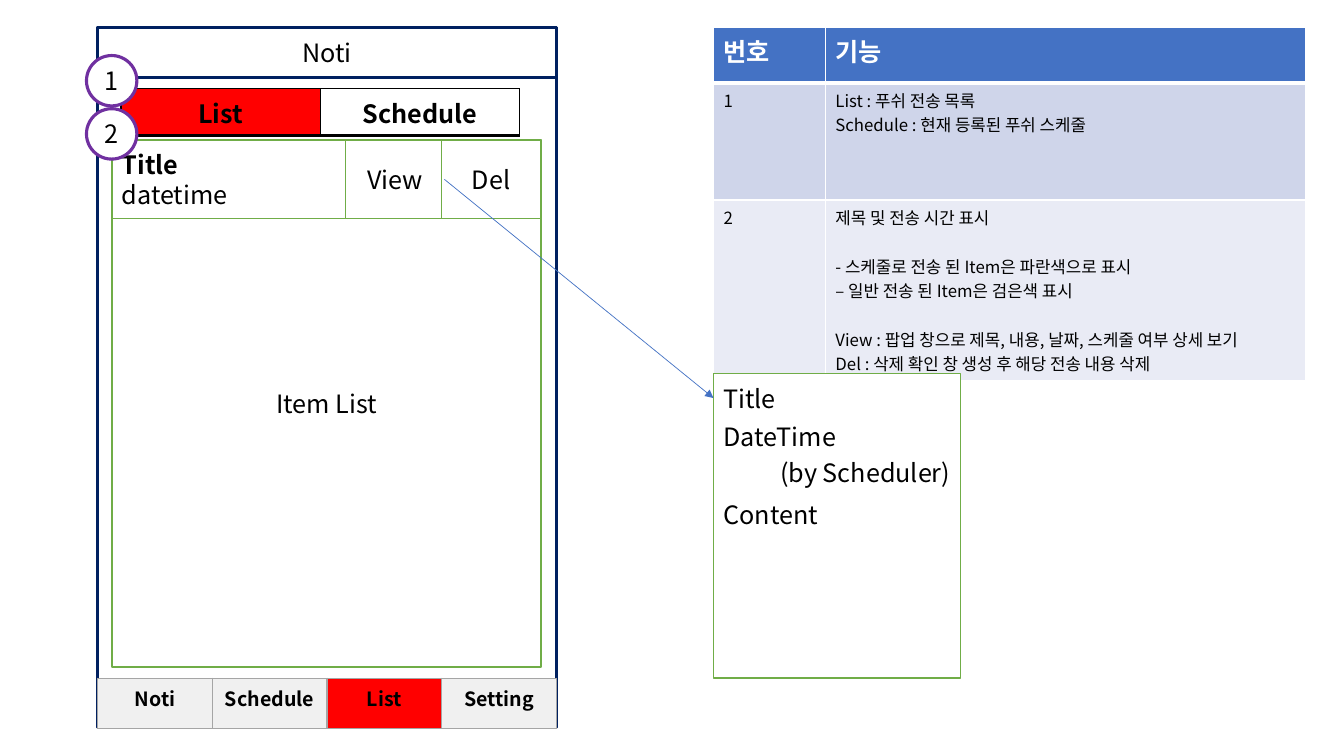
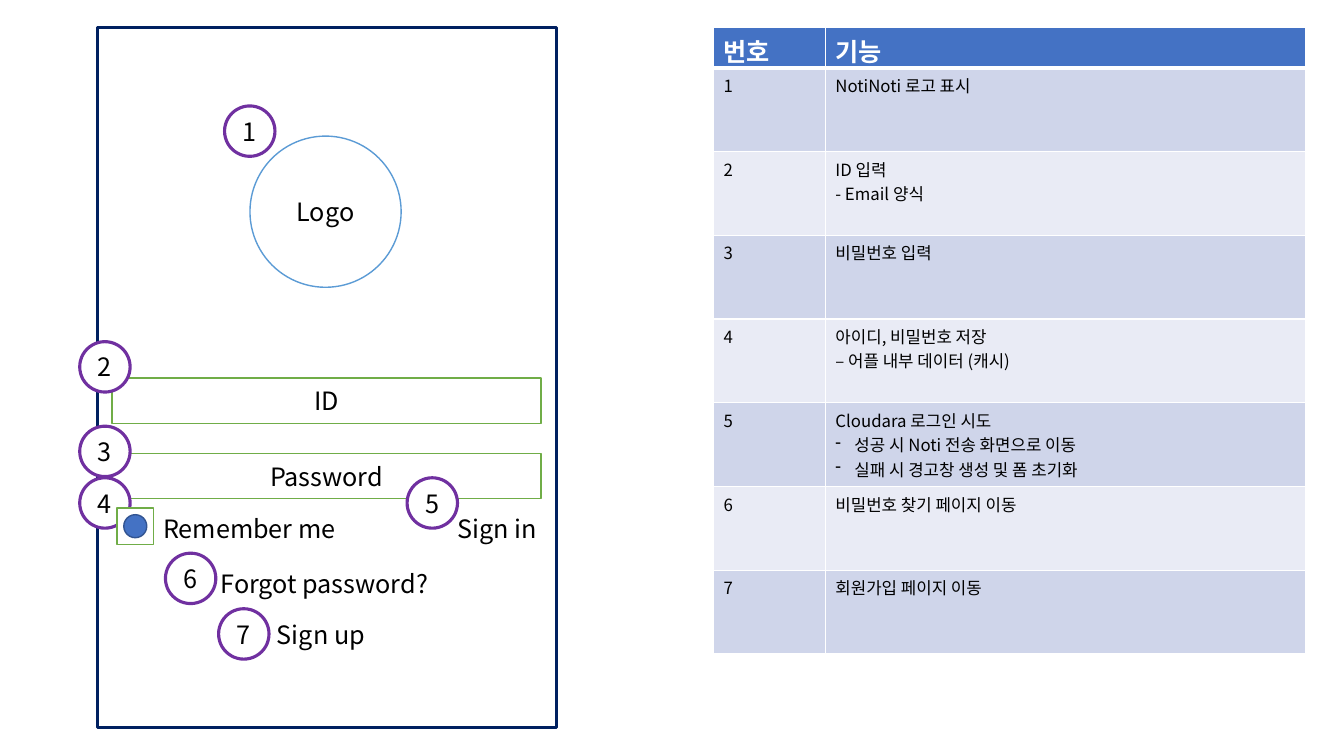
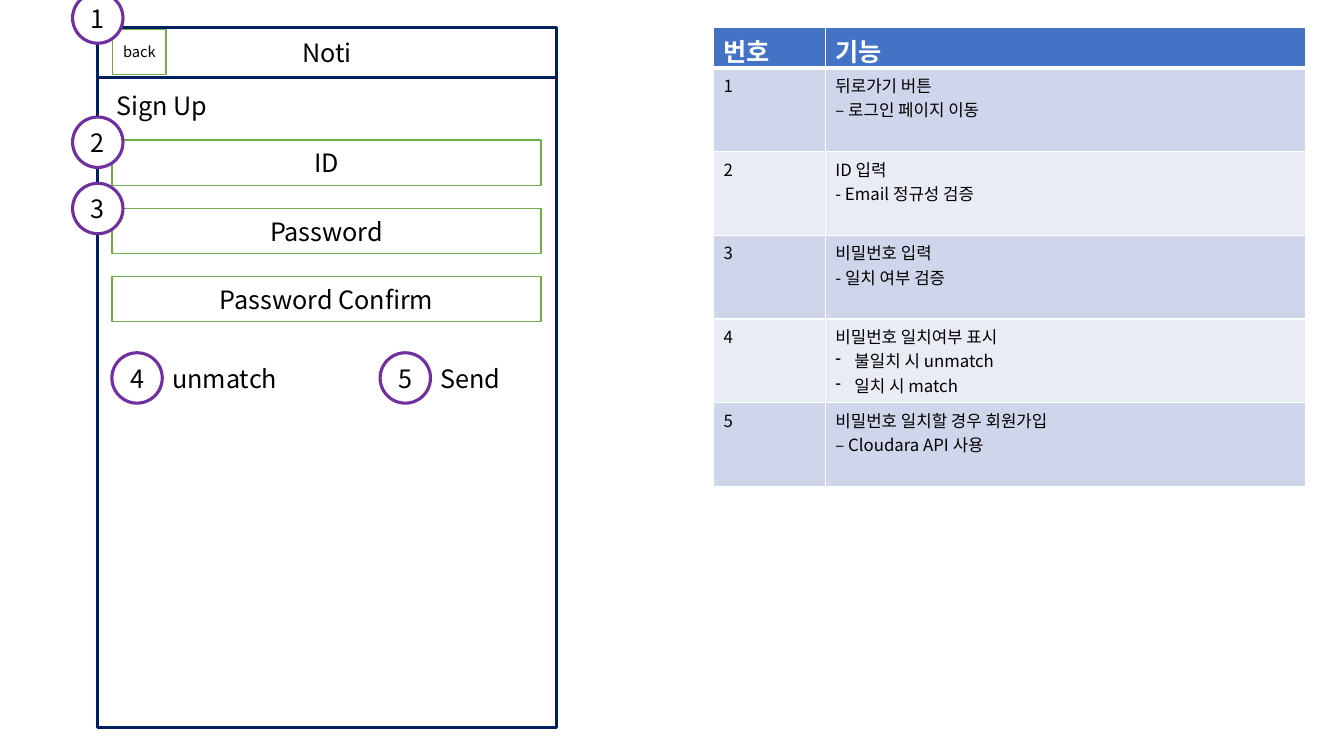
from dataclasses import dataclass
from typing import Optional, Union

from lxml import etree
from pptx import Presentation
from pptx import util as u
from pptx.dml.color import RGBColor
from pptx.enum import shapes, text
from pptx.oxml import ns

Cm, Pt = u.Cm, u.Pt
FONT = "Noto Sans CJK KR"
COLORS = {
    "black": "000000", "white": "FFFFFF", "frame": "002060", "field": "70AD47",
    "badge": "7030A0", "logo": "5B9BD5", "accent": "4472C4", "accent_edge": "325491",
    "active": "FF0000", "nav": "F0F0F0", "nav_edge": "A5A5A5",
    "band_dark": "CFD5EA", "band_light": "E9EBF5",
}
LEFT, CENTER, RIGHT = text.PP_ALIGN.LEFT, text.PP_ALIGN.CENTER, text.PP_ALIGN.RIGHT
RECT, OVAL = shapes.MSO_SHAPE.RECTANGLE, shapes.MSO_SHAPE.OVAL

# Shared layout, in centimetres
FRAME_LEFT, FRAME_TOP, FRAME_WIDTH, FRAME_HEIGHT = 2.46, 0.69, 11.56, 17.65
BAR_HEIGHT = 1.27
FIELD_LEFT, FIELD_WIDTH, FIELD_HEIGHT = 2.82, 10.82, 1.14
ITEM_TOP, ITEM_HEIGHT, BUTTON_WIDTH = 3.53, 1.98, 2.49
BADGE_SIZE, LABEL_HEIGHT = 1.27, 1.02
SPEC_LEFT, SPEC_COLUMNS = 17.98, (2.82, 12.11)
POPUP_WIDTH = 6.22
BULLET_INDENT = 0.48


@dataclass
class Line:
    words: str
    bold: bool = False
    bullet: bool = False
    before: float = 0


@dataclass
class Box:
    left: float
    top: float
    width: float
    height: float

    def lengths(self) -> tuple:
        return Cm(self.left), Cm(self.top), Cm(self.width), Cm(self.height)


@dataclass
class Badge:
    number: int
    left: float
    top: float


@dataclass
class Label:
    words: str
    left: float
    top: float
    width: float
    align: int = LEFT


@dataclass
class Edges:
    color: str
    side: float = 1
    bottom: float = 1


Words = Union[str, Line]


def rgb(name: str) -> RGBColor:
    return RGBColor.from_string(COLORS[name])


def add_xml(parent, tag: str, **attributes: str):
    return etree.SubElement(parent, ns.qn(tag), attributes)


def set_all(target, values: dict) -> None:
    for attribute, value in values.items():
        setattr(target, attribute, value)


# Text
def write(frame, lines: list[Words], size: float = 18, color: str = "black",
          align: int = LEFT, bold: bool = False) -> None:
    for index, entry in enumerate(lines):
        line = entry if isinstance(entry, Line) else Line(entry)
        paragraph = frame.paragraphs[0] if index == 0 else frame.add_paragraph()
        set_all(paragraph, {"alignment": align, "space_before": Pt(line.before)})
        if line.bullet:
            properties = paragraph._p.get_or_add_pPr()
            properties.set("marL", str(Cm(BULLET_INDENT)))
            properties.set("indent", str(-Cm(BULLET_INDENT)))
            add_xml(properties, "a:buChar", char="-")
        run = paragraph.add_run()
        run.text = line.words
        run.font.color.rgb = rgb(color)
        set_all(run.font, {"name": FONT, "size": Pt(size), "bold": bold or line.bold})
        add_xml(run._r.get_or_add_rPr(), "a:ea", typeface=FONT)


def add_label(slide, label: Label) -> None:
    place = Box(label.left, label.top, label.width, LABEL_HEIGHT)
    frame = slide.shapes.add_textbox(*place.lengths()).text_frame
    set_all(frame, {"word_wrap": True, "auto_size": text.MSO_AUTO_SIZE.SHAPE_TO_FIT_TEXT})
    write(frame, [label.words], align=label.align)


# Shapes
def add_box(slide, place: Box, edge: str, lines: Optional[list[Words]] = None,
            fill: Optional[str] = "white", weight: float = 1, kind: int = RECT,
            size: float = 18, align: int = CENTER) -> None:
    shape = slide.shapes.add_shape(kind, *place.lengths())
    shape.shadow.inherit = False
    if fill:
        shape.fill.solid()
        shape.fill.fore_color.rgb = rgb(fill)
    else:
        shape.fill.background()
    shape.line.color.rgb = rgb(edge)
    shape.line.width = Pt(weight)
    set_all(shape.text_frame, {"word_wrap": True, "vertical_anchor": text.MSO_ANCHOR.MIDDLE})
    write(shape.text_frame, lines or [], size=size, align=align)


def add_phone(slide) -> None:
    place = Box(FRAME_LEFT, FRAME_TOP, FRAME_WIDTH, FRAME_HEIGHT)
    add_box(slide, place, "frame", fill=None, weight=2.25)


def add_app_bar(slide) -> None:
    place = Box(FRAME_LEFT, FRAME_TOP, FRAME_WIDTH, BAR_HEIGHT)
    add_box(slide, place, "frame", ["Noti"], fill=None, weight=2.25)


def add_field(slide, words: str, top: float, height: float = FIELD_HEIGHT) -> None:
    add_box(slide, Box(FIELD_LEFT, top, FIELD_WIDTH, height), "field", [words])


def add_badges(slide, badges: list[Badge]) -> None:
    for badge in badges:
        place = Box(badge.left, badge.top, BADGE_SIZE, BADGE_SIZE)
        # The digit needs the full width of the circle
        add_box(slide, place, "badge", [str(badge.number)], weight=2.25, kind=OVAL)


def add_arrow(slide, start: tuple[float, float], end: tuple[float, float]) -> None:
    arrow = slide.shapes.add_connector(
        shapes.MSO_CONNECTOR.STRAIGHT, *(Cm(value) for value in start + end))
    arrow.line.color.rgb = rgb("accent")
    arrow.line.width = Pt(0.5)
    add_xml(arrow.line._get_or_add_ln(), "a:tailEnd", type="triangle")
    add_xml(arrow._element.spPr, "a:effectLst")


# Tables
def style_cell(cell, fill: Optional[str], edges: Edges) -> None:
    properties = cell._tc.get_or_add_tcPr()
    for side in ("L", "R", "T", "B"):
        weight = edges.bottom if side == "B" else edges.side
        border = add_xml(properties, f"a:ln{side}", w=str(Pt(weight)))
        add_xml(add_xml(border, "a:solidFill"), "a:srgbClr", val=COLORS[edges.color])
    if fill:
        cell.fill.solid()
        cell.fill.fore_color.rgb = rgb(fill)
    else:
        cell.fill.background()


def new_table(slide, left: float, top: float, columns: tuple, rows: list[float]):
    place = Box(left, top, sum(columns), sum(rows))
    table = slide.shapes.add_table(len(rows), len(columns), *place.lengths()).table
    set_all(table, {"first_row": False, "horz_banding": False})
    for column, width in zip(table.columns, columns):
        column.width = Cm(width)
    for row, height in zip(table.rows, rows):
        row.height = Cm(height)
    return table


def add_tabs(slide, place: Box, names: list[str], active: str, fill: Optional[str],
             edges: Edges, size: float) -> None:
    widths = (place.width / len(names),) * len(names)
    table = new_table(slide, place.left, place.top, widths, [place.height])
    for cell, name in zip(table.rows[0].cells, names):
        style_cell(cell, "active" if name == active else fill, edges)
        write(cell.text_frame, [name], size=size, align=CENTER, bold=True)


def add_spec(slide, features: list[list[Words]], head_height: float = 1.02,
             row_height: float = 2.11) -> None:
    heights = [head_height] + [row_height] * len(features)
    table = new_table(slide, SPEC_LEFT, FRAME_TOP, SPEC_COLUMNS, heights)
    for cell, heading in zip(table.rows[0].cells, ("번호", "기능")):
        style_cell(cell, "accent", Edges("white", bottom=3))
        write(cell.text_frame, [heading], color="white", bold=True)
    for number, feature in enumerate(features, 1):
        band = "band_dark" if number % 2 else "band_light"
        for cell, lines in zip(table.rows[number].cells, ([str(number)], feature)):
            style_cell(cell, band, Edges("white"))
            write(cell.text_frame, lines, size=12)


# Slides
def build_list(slide) -> None:
    add_phone(slide)
    add_app_bar(slide)
    add_tabs(slide, Box(FRAME_LEFT, 17.09, FRAME_WIDTH, 1.27),
             ["Noti", "Schedule", "List", "Setting"], "List", "nav", Edges("nav_edge"), 14)
    add_tabs(slide, Box(3.05, 2.24, 10.04, 1.04),
             ["List", "Schedule"], "List", None, Edges("black", bottom=2), 18)

    # Item list and its first row
    add_field(slide, "Item List", ITEM_TOP, 13.28)
    add_box(slide, Box(FIELD_LEFT, ITEM_TOP, FIELD_WIDTH, ITEM_HEIGHT), "field",
            [Line("Title", bold=True), "datetime"], align=LEFT)
    for action, left in (("View", 8.71), ("Del", 11.13)):
        add_box(slide, Box(left, ITEM_TOP, BUTTON_WIDTH, ITEM_HEIGHT), "field", [action])
    add_badges(slide, [Badge(1, 2.18, 1.4), Badge(2, 2.18, 2.74)])

    blank_line = 17.5
    add_spec(slide, [
        ["List : 푸쉬 전송 목록", "Schedule : 현재 등록된 푸쉬 스케줄"],
        ["제목 및 전송 시간 표시",
         Line("- 스케줄로 전송 된 Item은 파란색으로 표시", before=blank_line),
         "– 일반 전송 된 Item은 검은색 표시",
         Line("View : 팝업 창으로 제목, 내용, 날짜, 스케줄 여부 상세 보기", before=blank_line),
         "Del : 삭제 확인 창 생성 후 해당 전송 내용 삭제"],
    ], head_height=1.4, row_height=2.95)

    # Detail popup opened by View
    add_box(slide, Box(SPEC_LEFT, 9.42, POPUP_WIDTH, 7.67), "field")
    for words, top, align in (("Title", 9.53, LEFT), ("DateTime", 10.49, LEFT),
                              ("(by Scheduler)", 11.4, RIGHT), ("Content", 12.45, LEFT)):
        add_label(slide, Label(words, SPEC_LEFT, top, POPUP_WIDTH, align))
    add_arrow(slide, (11.2, 4.52), (SPEC_LEFT, 10.03))


def build_login(slide) -> None:
    add_phone(slide)
    add_field(slide, "ID", 9.53)
    add_field(slide, "Password", 11.43)
    add_box(slide, Box(6.3, 3.43, 3.81, 3.81), "logo", ["Logo"], kind=OVAL)
    for label in (Label("Forgot password?", 5.31, 14.2, 7.01),
                  Label("Sign up", 6.73, 15.47, 2.97),
                  Label("Remember me", 3.86, 12.8, 8.08),
                  Label("Sign in", 11.28, 12.8, 2.74)):
        add_label(slide, label)
    add_spec(slide, [
        ["NotiNoti 로고 표시"],
        ["ID 입력", "- Email 양식"],
        ["비밀번호 입력"],
        ["아이디, 비밀번호 저장", "– 어플 내부 데이터 (캐시)"],
        ["Cloudara 로그인 시도",
         Line("성공 시 Noti 전송 화면으로 이동", bullet=True),
         Line("실패 시 경고창 생성 및 폼 초기화", bullet=True)],
        ["비밀번호 찾기 페이지 이동"],
        ["회원가입 페이지 이동"],
    ])
    add_badges(slide, [
        Badge(1, 5.66, 2.67), Badge(2, 2.01, 8.61), Badge(3, 2.01, 10.74),
        Badge(4, 2.01, 12.04), Badge(5, 10.26, 12.04), Badge(6, 4.17, 13.94),
        Badge(7, 5.51, 15.34)])

    # Remember-me check box
    add_box(slide, Box(2.95, 12.8, 0.92, 0.92), "field")
    add_box(slide, Box(3.12, 12.97, 0.58, 0.58), "accent_edge", fill="accent", kind=OVAL)


def build_sign_up(slide) -> None:
    add_phone(slide)
    add_app_bar(slide)
    add_box(slide, Box(2.84, 0.74, 1.35, 1.14), "field", ["back"], size=10.5)
    for row, name in enumerate(("ID", "Password", "Password Confirm")):
        add_field(slide, name, ITEM_TOP + row * 1.72)
    for label in (Label("Sign Up", 2.69, 2.16, 8.08),
                  Label("unmatch", 4.09, 9.02, 4.55),
                  Label("Send", 10.85, 9.02, 2.74)):
        add_label(slide, label)
    add_spec(slide, [
        ["뒤로가기 버튼", "– 로그인 페이지 이동"],
        ["ID 입력", "- Email 정규성 검증"],
        ["비밀번호 입력", "- 일치 여부 검증"],
        ["비밀번호 일치여부 표시",
         Line("불일치 시 unmatch", bullet=True), Line("일치 시 match", bullet=True)],
        ["비밀번호 일치할 경우 회원가입", "– Cloudara API 사용"],
    ])
    add_badges(slide, [
        Badge(1, 1.83, -0.18), Badge(2, 1.83, 2.95), Badge(3, 1.83, 4.62),
        Badge(4, 2.82, 8.89), Badge(5, 9.58, 8.89)])


def main() -> None:
    deck = Presentation()
    set_all(deck, {"slide_width": Cm(33.87), "slide_height": Cm(19.05)})
    blank = deck.slide_layouts[6]
    for build in (build_list, build_login, build_sign_up):
        build(deck.slides.add_slide(blank))
    deck.save("out.pptx")


if __name__ == "__main__":
    main()
